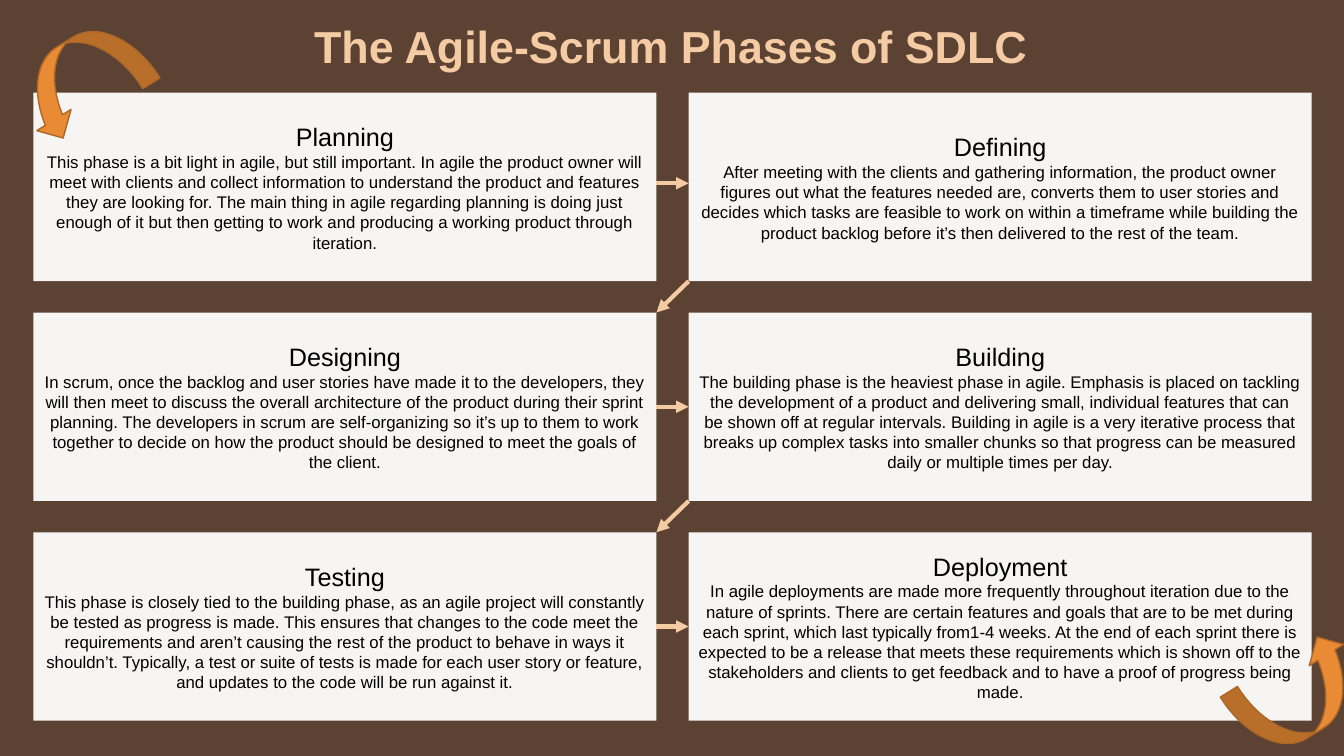
import dataclasses
import pptx
import pptx.util
import pptx.dml.color
import pptx.enum.shapes
import pptx.enum.text
import pptx.oxml.ns
import lxml.etree

Shape = pptx.enum.shapes.MSO_SHAPE
Align = pptx.enum.text.PP_ALIGN
Anchor = pptx.enum.text.MSO_ANCHOR


@dataclasses.dataclass(frozen=True)
class Theme:
    ground: str = "5B4233"
    accent: str = "F5CBA4"
    card: str = "FFFFFF"
    ink: str = "000000"
    curl: str = "E88B34"
    edge: str = "AC6726"
    font: str = "Arial"
    title: int = 32
    head: int = 18
    body: int = 12


@dataclasses.dataclass(frozen=True)
class Grid:
    left: float = 2.48
    top: float = 12.27
    width: float = 46.36
    height: float = 24.93
    across: float = 48.76
    down: float = 29.07

    def cell(self, col, row):
        return (self.left + col * self.across, self.top + row * self.down,
                self.width, self.height)


def color(code):
    return pptx.dml.color.RGBColor.from_string(code)


def child(node, tag, **values):
    return lxml.etree.SubElement(node, pptx.oxml.ns.qn(tag), **values)


class Page:
    def __init__(self, deck, theme):
        self.theme = theme
        self.size = deck.slide_width, deck.slide_height
        self.slide = deck.slides.add_slide(deck.slide_layouts[6])
        self.shapes = self.slide.shapes
        fill = self.slide.background.fill
        fill.solid()
        fill.fore_color.rgb = color(theme.ground)

    def place(self, *shares):
        return [round(share / 100 * self.size[i % 2])
                for i, share in enumerate(shares)]

    def label(self, frame, text, sizes, tint, bold=False):
        frame.text = text
        frame.word_wrap = True
        frame.vertical_anchor = Anchor.MIDDLE
        for line, size in zip(frame.paragraphs, sizes):
            line.alignment = Align.CENTER
            for run in line.runs:
                run.font.name = self.theme.font
                run.font.size = pptx.util.Pt(size)
                run.font.bold = bold
                run.font.color.rgb = color(tint)

    def title(self, text, *box):
        frame = self.shapes.add_textbox(*self.place(*box)).text_frame
        frame.margin_left = frame.margin_right = 0
        frame.margin_top = frame.margin_bottom = 0
        self.label(frame, text, [self.theme.title], self.theme.accent, True)

    def block(self, kind, fill, *box):
        shape = self.shapes.add_shape(kind, *self.place(*box))
        shape.shadow.inherit = False
        shape.fill.solid()
        shape.fill.fore_color.rgb = color(fill)
        return shape

    def card(self, head, body, *box):
        theme = self.theme
        shape = self.block(Shape.RECTANGLE, theme.card, *box)
        shape.line.fill.background()
        tint = shape._element.spPr.find(".//" + pptx.oxml.ns.qn("a:srgbClr"))
        child(tint, "a:alpha", val="95000")
        self.label(shape.text_frame, head + "\n" + body,
                   [theme.head, theme.body], theme.ink)

    def arrow(self, *ends):
        link = self.shapes.add_connector(
            pptx.enum.shapes.MSO_CONNECTOR.STRAIGHT, *self.place(*ends))
        link.line.color.rgb = color(self.theme.accent)
        link.line.width = pptx.util.Pt(3)
        props = link._element.spPr
        child(props.find(pptx.oxml.ns.qn("a:ln")), "a:tailEnd", type="triangle")
        child(props, "a:effectLst")

    def curl(self, turn, *box):
        shape = self.block(Shape.CURVED_RIGHT_ARROW, self.theme.curl, *box)
        shape.line.color.rgb = color(self.theme.edge)
        shape.line.width = pptx.util.Pt(1)
        shape.rotation = turn


PHASES = [
    ("Planning", "This phase is a bit light in agile, but still important. In agile the product owner will meet with clients and collect information to understand the product and features they are looking for. The main thing in agile regarding planning is doing just enough of it but then getting to work and producing a working product through iteration."),
    ("Defining", "After meeting with the clients and gathering information, the product owner figures out what the features needed are, converts them to user stories and decides which tasks are feasible to work on within a timeframe while building the product backlog before it’s then delivered to the rest of the team."),
    ("Designing", "In scrum, once the backlog and user stories have made it to the developers, they will then meet to discuss the overall architecture of the product during their sprint planning. The developers in scrum are self-organizing so it’s up to them to work together to decide on how the product should be designed to meet the goals of the client."),
    ("Building", "The building phase is the heaviest phase in agile. Emphasis is placed on tackling the development of a product and delivering small, individual features that can be shown off at regular intervals. Building in agile is a very iterative process that breaks up complex tasks into smaller chunks so that progress can be measured daily or multiple times per day."),
    ("Testing", "This phase is closely tied to the building phase, as an agile project will constantly be tested as progress is made. This ensures that changes to the code meet the requirements and aren’t causing the rest of the product to behave in ways it shouldn’t. Typically, a test or suite of tests is made for each user story or feature, and updates to the code will be run against it."),
    ("Deployment", "In agile deployments are made more frequently throughout iteration due to the nature of sprints. There are certain features and goals that are to be met during each sprint, which last typically from1-4 weeks. At the end of each sprint there is expected to be a release that meets these requirements which is shown off to the stakeholders and clients to get feedback and to have a proof of progress being made."),
]

deck = pptx.Presentation()
deck.slide_width = pptx.util.Inches(13.33)
deck.slide_height = pptx.util.Inches(7.5)
page = Page(deck, Theme())
grid = Grid()

page.title("The Agile-Scrum Phases of SDLC", 5.93, 2, 88, 8)
for i, (head, body) in enumerate(PHASES):
    page.card(head, body, *grid.cell(i % 2, i // 2))

start = grid.left + grid.width
end = grid.left + grid.across
for row, share in enumerate([0.48, 0.5, 0.5]):
    top = grid.cell(0, row)[1]
    middle = top + share * grid.height
    page.arrow(start, middle, end, middle)
    if row < 2:
        page.arrow(end, top + grid.height, start, top + grid.down)

page.curl(238.2, 93.62, 83.2, 6, 17.73)
page.curl(58.2, 3.08, 1.6, 6, 17.73)

deck.save("out.pptx")
